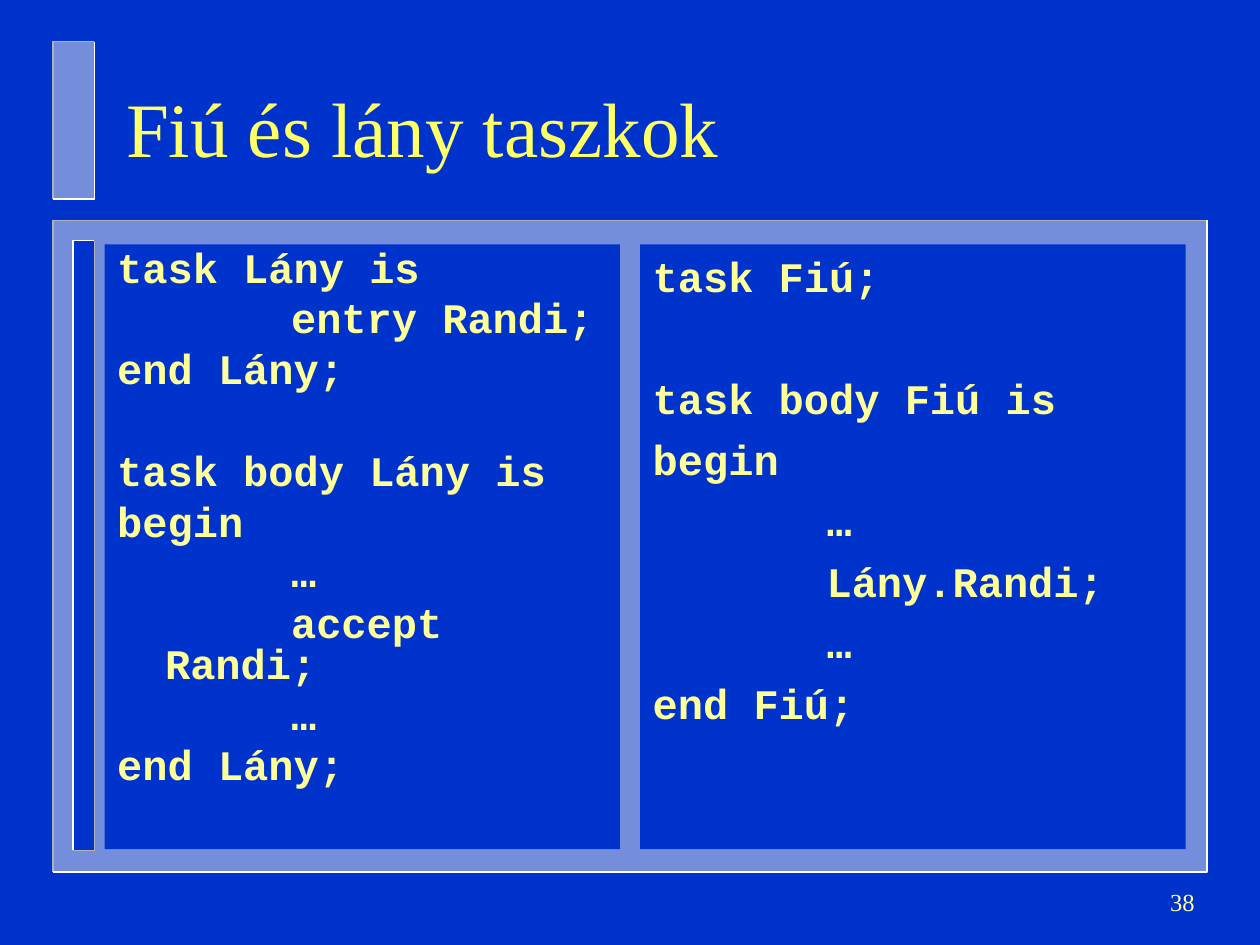
import dataclasses

import lxml.etree
import pptx
import pptx.dml.color
import pptx.enum.shapes
import pptx.enum.text
import pptx.oxml.ns
import pptx.util

Inches = pptx.util.Inches
Pt = pptx.util.Pt
ALIGN = pptx.enum.text.PP_ALIGN
ANCHOR = pptx.enum.text.MSO_ANCHOR


@dataclasses.dataclass(frozen=True)
class Theme:
    background: str = "0033CC"
    panel: str = "EAEAEA"
    shade: str = "B2B2B2"
    light: str = "FFFFFF"
    title: str = "FFFF66"
    text: str = "FFFF99"
    serif: str = "Times New Roman"
    mono: str = "Courier New"
    title_size: int = 44
    code_size: int = 24
    number_size: int = 14


THEME = Theme()

# An empty line stands for a gap before the next line of code
GIRL_CODE = """task Lány is
\t\tentry Randi;
end Lány;

task body Lány is
begin
\t\t…
\t\taccept Randi;
\t\t…
end Lány;"""

BOY_CODE = """task Fiú;

task body Fiú is
begin
\t\t…
\t\tLány.Randi;
\t\t…
end Fiú;"""


def colour(value):
    return pptx.dml.color.RGBColor.from_string(value)


def add_child(parent, tag, **attributes):
    return lxml.etree.SubElement(parent, pptx.oxml.ns.qn(tag), attributes)


def fill_solid(shape, value, alpha=None):
    shape.fill.solid()
    shape.fill.fore_color.rgb = colour(value)
    if alpha is not None:
        tone = shape.element.spPr.find(".//" + pptx.oxml.ns.qn("a:srgbClr"))
        add_child(tone, "a:alpha", val=str(alpha * 1000))


def place(shape, area):
    shape.left, shape.top, shape.width, shape.height = map(Inches, area)


def write_text(box, text, *, font, size, color, bold=False, align=ALIGN.LEFT,
               anchor=ANCHOR.TOP, hanging=0, tabs=0, line_spacing=1.0,
               space_before=0, gap=0):
    """Write one paragraph for each line; an empty line adds gap points."""
    frame = box.text_frame
    frame.word_wrap = True
    frame.auto_size = pptx.enum.text.MSO_AUTO_SIZE.NONE
    frame.vertical_anchor = anchor
    frame.margin_left = frame.margin_right = Inches(0.1)
    frame.margin_top = frame.margin_bottom = Inches(0.05)
    para, spacing = frame.paragraphs[0], 0
    for line in text.split("\n"):
        if not line:
            spacing += gap
            continue
        if para.runs:
            para = frame.add_paragraph()
        properties = para._p.get_or_add_pPr()
        properties.set("marL", str(Inches(hanging)))
        properties.set("indent", str(-Inches(hanging)))
        properties.set("defTabSz", str(Inches(1)))
        add_child(properties, "a:buNone")
        if tabs:
            stops = add_child(properties, "a:tabLst")
            for inch in range(tabs):
                add_child(stops, "a:tab", pos=str(Inches(inch)), algn="l")
        para.alignment = align
        para.line_spacing = line_spacing
        para.space_before = Pt(spacing)
        spacing = space_before
        span = para.add_run()
        span.text = line
        span.font.name, span.font.size = font, Pt(size)
        span.font.bold = bold
        span.font.color.rgb = colour(color)


def add_edge(page, points, value):
    corners = [(Inches(x), Inches(y)) for x, y in points]
    builder = page.shapes.build_freeform(*corners[0])
    builder.add_line_segments(corners[1:], close=False)
    edge = builder.convert_to_shape()
    edge.shadow.inherit = False
    edge.fill.background()
    edge.line.color.rgb = colour(value)
    edge.line.width = Pt(1)


def add_bevel(page, area, fill, upper, lower, alpha=None):
    """Rectangle with one colour on its upper left edges, another opposite."""
    left, top, width, height = area
    right, bottom = left + width, top + height
    panel = page.shapes.add_shape(
        pptx.enum.shapes.MSO_SHAPE.RECTANGLE, *map(Inches, area))
    panel.shadow.inherit = False
    fill_solid(panel, fill, alpha)
    panel.line.fill.background()
    start, end = (right, top), (left, bottom)
    add_edge(page, [start, (left, top), end], upper)
    add_edge(page, [start, (right, bottom), end], lower)


def add_frame(page):
    raised = dict(fill=THEME.panel, upper=THEME.shade, lower=THEME.light, alpha=50)
    add_bevel(page, (0.42, 1.75, 9.16, 5.17), **raised)
    add_bevel(page, (0.58, 1.91, 0.17, 4.84), fill=THEME.background,
              upper=THEME.light, lower=THEME.shade)
    add_bevel(page, (0.42, 0.33, 0.33, 1.25), **raised)


def bring_forward(box):
    box.element.getparent().append(box.element)


def add_title(box, area):
    place(box, area)
    bring_forward(box)
    write_text(box, "Fiú és lány taszkok", font=THEME.serif,
               size=THEME.title_size, color=THEME.title, anchor=ANCHOR.MIDDLE)


def add_code(box, area, code, line_spacing, gap):
    place(box, area)
    bring_forward(box)
    fill_solid(box, THEME.background)
    write_text(box, code, font=THEME.mono, size=THEME.code_size,
               color=THEME.text, bold=True, hanging=0.38, tabs=8,
               line_spacing=line_spacing, space_before=6, gap=gap)


def add_page_number(page, area):
    box = page.shapes.add_textbox(*map(Inches, area))
    write_text(box, "38", font=THEME.serif, size=THEME.number_size,
               color=THEME.text, align=ALIGN.RIGHT, anchor=ANCHOR.MIDDLE)


def main():
    deck = pptx.Presentation()
    deck.slide_width, deck.slide_height = Inches(10), Inches(7.5)
    page = deck.slides.add_slide(deck.slide_layouts.get_by_name("Two Content"))
    backdrop = page.background.fill
    backdrop.solid()
    backdrop.fore_color.rgb = colour(THEME.background)
    title, girl, boy = page.placeholders

    add_frame(page)
    add_code(girl, (0.83, 1.94, 4.09, 4.8), GIRL_CODE, line_spacing=0.8, gap=29)
    add_code(boy, (5.08, 1.94, 4.33, 4.8), BOY_CODE, line_spacing=1.0, gap=35)
    add_title(title, (0.9, 0.52, 8.03, 0.97))
    add_page_number(page, (7.5, 6.91, 2.08, 0.5))
    deck.save("out.pptx")


if __name__ == "__main__":
    main()
